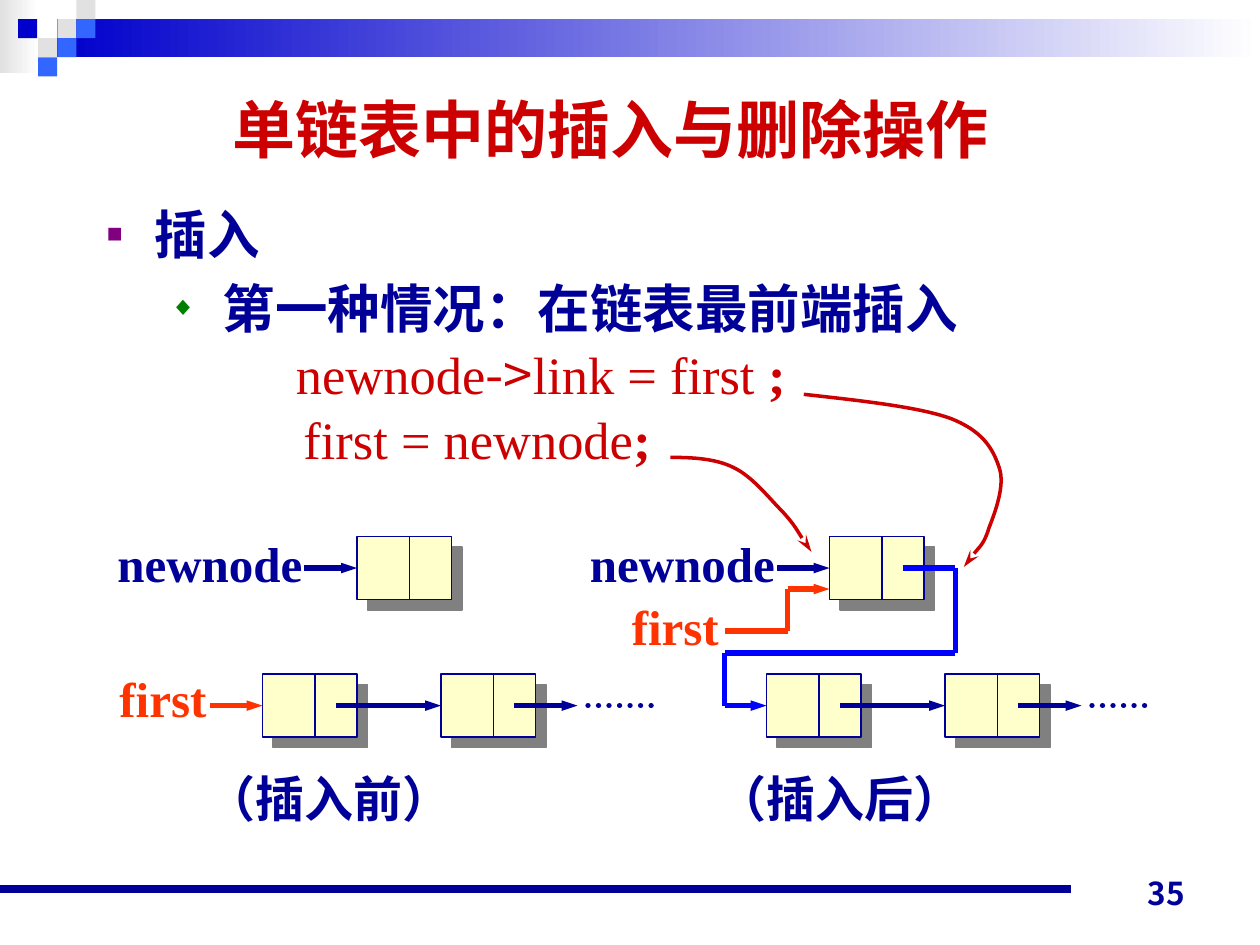
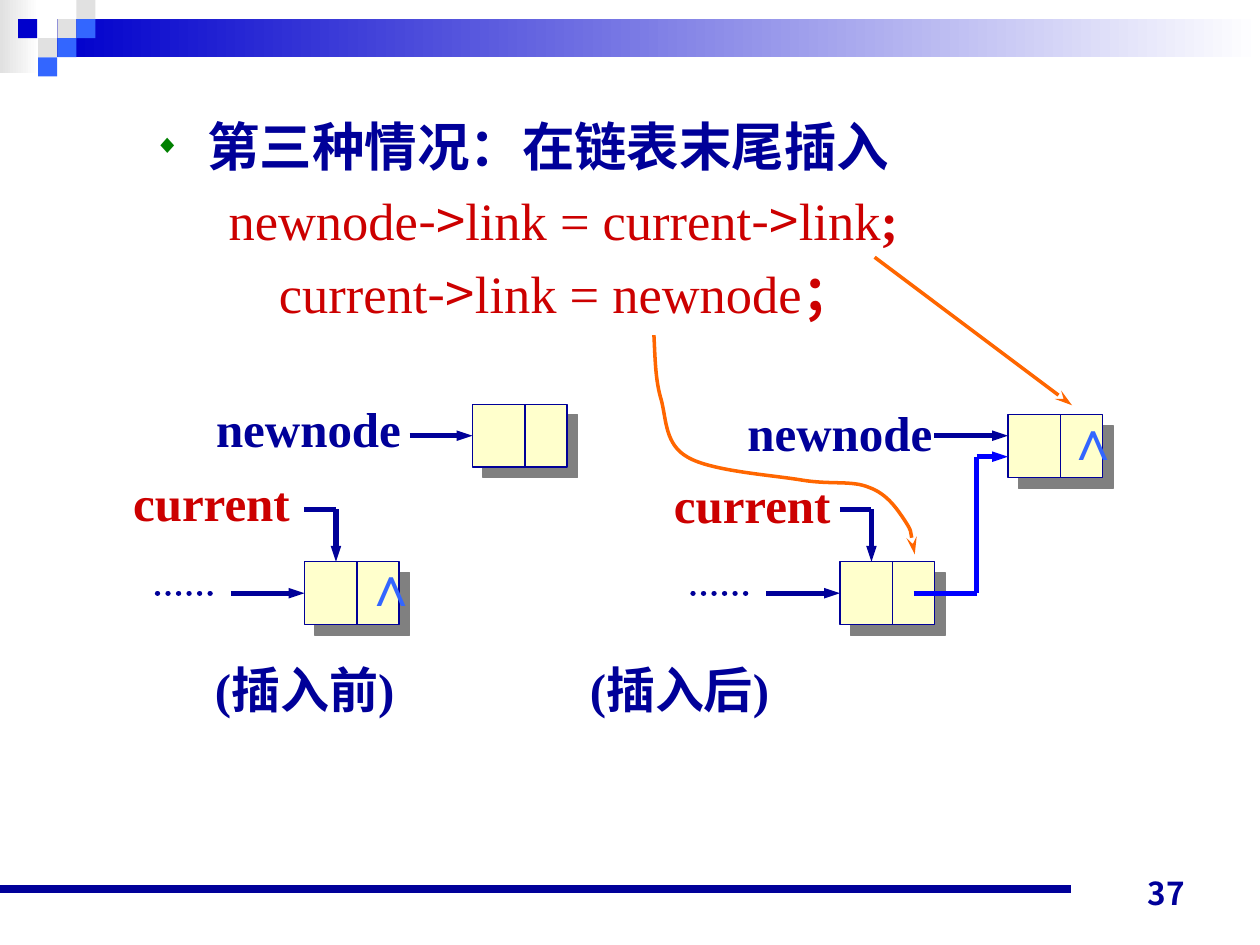
from itertools import pairwise

from lxml import etree
from pptx import Presentation
from pptx.dml.color import RGBColor
from pptx.enum.dml import MSO_LINE
from pptx.enum.shapes import MSO_CONNECTOR, MSO_SHAPE
from pptx.enum.text import MSO_ANCHOR, PP_ALIGN
from pptx.oxml.ns import qn
from pptx.util import Inches, Pt

RECT, STRAIGHT, DOTS = MSO_SHAPE.RECTANGLE, MSO_CONNECTOR.STRAIGHT, MSO_LINE.ROUND_DOT
TOP, MIDDLE, BOTTOM = MSO_ANCHOR.TOP, MSO_ANCHOR.MIDDLE, MSO_ANCHOR.BOTTOM
CENTER, RIGHT = PP_ALIGN.CENTER, PP_ALIGN.RIGHT
rgb = RGBColor.from_string

NAVY, BLUE, LINK_BLUE, SKY = "000099", "0000CC", "0000FF", "3366FF"
RED, FIRST_RED, ORANGE = "CC0000", "FF3300", "FF6600"
GREY, WHITE, CREAM, SHADOW = "E1E1E1", "FFFFFF", "FFFFCC", "808080"
SERIF, SANS, CJK = "Times New Roman", "Arial", "Noto Sans CJK SC"

# The slide is a grid of 120 columns by 90 rows.
COLS, ROWS = 120, 90
CELL = Inches(10) // COLS
NODE_W, NODE_H, DIVIDER = 9, 6, 5

HEADING = dict(size=Pt(30), name=SANS, bold=True, color=NAVY)
CODE = dict(size=Pt(30), name=SERIF, color=RED)
ARROW = {**CODE, "name": CJK}
CODE_END = {**CODE, "bold": True}
LABEL = dict(size=Pt(28), name=SERIF, bold=True)
NIL = dict(size=Pt(32), name=SERIF, bold=True, color=SKY)
PAGE = dict(size=Pt(18), name="Noto Sans CJK JP", bold=True, color=NAVY)
TITLE = dict(size=Pt(36), name=SANS, bold=True, color=RED)

LINE = dict(line_spacing=Pt(36))
SPACED = dict(**LINE, space_before=Pt(6))
TIGHT = dict(**LINE, space_before=Pt(1.5))
SQUARE = dict(bullet=("■", "800080"), margin=0.38, hang=0.38)
DIAMOND = dict(bullet=("◆", "008000"), margin=0.92, hang=0.42)


def write(slide, box, paragraphs, anchor=TOP):
    """Put (format, runs) paragraphs in a text box given in grid cells."""
    frame = slide.shapes.add_textbox(*(round(v * CELL) for v in box)).text_frame
    frame.word_wrap = True
    frame.vertical_anchor = anchor
    for number, (layout, runs) in enumerate(paragraphs):
        paragraph = frame.paragraphs[0] if number == 0 else frame.add_paragraph()
        layout = dict(layout)
        props = paragraph._p.get_or_add_pPr()
        props.set("marL", str(Inches(layout.pop("margin", 0))))
        props.set("indent", str(-Inches(layout.pop("hang", 0))))
        if "bullet" in layout:
            sign, color = layout.pop("bullet")
            tint = etree.SubElement(props, qn("a:buClr"))
            etree.SubElement(tint, qn("a:srgbClr"), val=color)
            etree.SubElement(props, qn("a:buSzPct"), val="50000")
            etree.SubElement(props, qn("a:buFont"), typeface=SANS)
            etree.SubElement(props, qn("a:buChar"), char=sign)
        for key, value in layout.items():
            setattr(paragraph, key, value)
        for text, look in runs:
            run = paragraph.add_run()
            run.text = text
            for key, value in look.items():
                if key == "color":
                    run.font.color.rgb = rgb(value)
                else:
                    setattr(run.font, key, value)
            etree.SubElement(run._r.get_or_add_rPr(), qn("a:ea"), typeface=CJK)


def style_line(shape, color, width, head=None, dotted=False):
    """Colour a connector or curve; head is (type, width, length)."""
    shape.line.color.rgb = rgb(color)
    shape.line.width = Pt(width)
    props = shape._element.spPr
    stroke = props.find(qn("a:ln"))
    if dotted:
        shape.line.dash_style = DOTS
        stroke.set("cap", "rnd")
    if head:
        etree.SubElement(stroke, qn("a:tailEnd"), type=head[0], w=head[1], len=head[2])
    if props.find(qn("a:effectLst")) is None:
        etree.SubElement(props, qn("a:effectLst"))


TRIANGLE = ("triangle", "sm", "med")
STEALTH = ("stealth", "med", "lg")

# Left edges of the lists before and after insertion, and of the new nodes.
LISTS, LIST_Y = (25, 73), 64.2
NEW_NODES, NEW_Y = (34, 79), 51.1
LIST_MID, NEW_MID = LIST_Y + 3, NEW_Y + 3
TAIL_Y, TAIL_MID = 53.5, 56.5

front_insert = dict(
    page="35",
    title="单链表中的插入与删除操作",
    body=((9, 18.7, 106, 31), [
        ({**LINE, **SQUARE}, [("插入", HEADING)]),
        ({**SPACED, **DIAMOND}, [("第一种情况：在链表最前端插入", HEADING)]),
        ({**TIGHT, "margin": 1.5},
         [("newnode", CODE), ("->", ARROW), ("link = first ", CODE), (";", CODE_END)]),
        ({**TIGHT, "margin": 1.56}, [("first = newnode", CODE), (";", CODE_END)]),
    ]),
    captions=[("（插入前）", 18.5, 72.6), ("（插入后）", 67.2, 72.6)],
    nodes=[(x + step, LIST_Y) for x in LISTS for step in (0, 17)]
          + [(x, NEW_Y) for x in NEW_NODES],
    arrows=[(NAVY, [(x + start, LIST_MID), (x + end, LIST_MID)])
            for x in LISTS for start, end in ((7, 17), (24, 30))]
           + [(NAVY, [(x - 5, NEW_MID), (x, NEW_MID)]) for x in NEW_NODES]
           + [(FIRST_RED, [(20, LIST_MID), (25, LIST_MID)]),
              (FIRST_RED, [(69, 60.1), (75, 60.1), (75, 56.1), (79, 56.1)]),
              (LINK_BLUE, [(86, NEW_MID), (91, NEW_MID), (91, 62.2), (69, 62.2),
                           (69, LIST_MID), (73, LIST_MID)])],
    dots=[(56, 63, LIST_MID), (104, 110, LIST_MID)],
    labels=[("newnode", NAVY, 10, 50.2), ("newnode", NAVY, 55, 50.2),
            ("first", FIRST_RED, 10.2, 63.1), ("first", FIRST_RED, 59, 56.2)],
    nils=[],
    curves=[
        (RED, [(6.38, 3.13), (6.83, 3.18), (7.29, 3.23), (7.54, 3.32),
               (7.8, 3.42), (7.88, 3.56), (7.93, 3.71),
               (7.98, 3.85), (7.9, 4.06), (7.85, 4.19),
               (7.81, 4.32), (7.68, 4.45), (7.65, 4.5)]),
        (RED, [(5.32, 3.63), (5.5, 3.63), (5.68, 3.64), (5.82, 3.71),
               (5.97, 3.78), (6.1, 3.95), (6.21, 4.06),
               (6.31, 4.17), (6.4, 4.33), (6.44, 4.38)]),
    ],
    pointers=[],
)

tail_insert = dict(
    page="37",
    title=None,
    body=((7.5, 10.3, 105, 54), [
        ({**LINE, **DIAMOND}, [("第三种情况：在链表末尾插入", HEADING)]),
        ({**SPACED, "margin": 1.09},
         [("newnode", CODE), ("->", ARROW), ("link = current", CODE),
          ("->", ARROW), ("link", CODE), (";", CODE_END)]),
        ({**SPACED, "margin": 1.49},
         [("current", CODE), ("->", ARROW), ("link = newnode", CODE), ("；", CODE_END)]),
    ]),
    captions=[("(插入前)", 19.3, 62.2), ("(插入后)", 55, 62.2)],
    nodes=[(29, TAIL_Y), (45, 38.5), (80, TAIL_Y), (96, 39.5)],
    arrows=[(NAVY, [(39, 41.5), (45, 41.5)]),
            (NAVY, [(89, 41.5), (96, 41.5)]),
            (LINK_BLUE, [(87, TAIL_MID), (93, TAIL_MID), (93, 43.5), (96, 43.5)])]
           + [(NAVY, [(x - 7, TAIL_MID), (x, TAIL_MID)]) for x in (29, 80)]
           + [(NAVY, [(x, 48.5), (x + 3, 48.5), (x + 3, TAIL_Y)]) for x in (29, 80)],
    dots=[(x - 14, x - 8, TAIL_MID) for x in (29, 80)],
    labels=[("newnode", NAVY, 19.4, 37.4), ("newnode", NAVY, 70, 37.7),
            ("current", RED, 11.5, 44.4), ("current", RED, 63, 44.6)],
    nils=[(100.3, 37.9), (33.4, 51.8)],
    curves=[
        (ORANGE, [(5.19, 2.66), (5.2, 2.84), (5.2, 3.02), (5.25, 3.18),
                  (5.29, 3.34), (5.28, 3.53), (5.46, 3.63),
                  (5.65, 3.74), (6.12, 3.77), (6.36, 3.81),
                  (6.6, 3.85), (6.76, 3.81), (6.9, 3.87),
                  (7.04, 3.92), (7.12, 4.04), (7.18, 4.13),
                  (7.24, 4.22), (7.25, 4.35), (7.26, 4.4)]),
    ],
    pointers=[(ORANGE, [(83.3, 24.5), (102.1, 38.6)])],
)

# Header: fading bands first, then the mosaic of small squares.
BANDS = [(0, 0, 3.7, 7, GREY), (5.4, 1.8, 114.6, 3.6, BLUE)]
TILE = 1.82
MOSAIC = [(3, 1, GREY), (4, 0, GREY), (4, 1, SKY), (2, 2, GREY),
          (0.95, 1, BLUE), (3, 2, SKY), (2, 3, SKY)]

deck = Presentation()
deck.slide_width, deck.slide_height = COLS * CELL, ROWS * CELL

for content in (front_insert, tail_insert):
    slide = deck.slides.add_slide(deck.slide_layouts[6])
    shapes = slide.shapes

    for *box, color in BANDS:
        band = shapes.add_shape(RECT, *(round(v * CELL) for v in box))
        band.shadow.inherit = False
        band.line.fill.background()
        band.fill.gradient()
        band.fill.gradient_angle = 0
        for stop, shade in zip(band.fill.gradient_stops, (color, WHITE)):
            stop.color.rgb = rgb(shade)
    for column, row, color in MOSAIC:
        side = round(TILE * CELL)
        tile = shapes.add_shape(RECT, round(column * side), row * side, side, side)
        tile.shadow.inherit = False
        tile.line.fill.background()
        tile.fill.solid()
        tile.fill.fore_color.rgb = rgb(color)

    write(slide, (86, 81.4, 28, 6), [(dict(alignment=RIGHT), [(content["page"], PAGE)])], BOTTOM)
    if content["title"]:
        write(slide, (12.8, 6.4, 90.6, 11.7),
              [(dict(alignment=CENTER), [(content["title"], TITLE)])], MIDDLE)
    write(slide, *content["body"])
    for text, x, y in content["captions"]:
        write(slide, (x, y, 30, 7), [({}, [(text, {**LABEL, "color": NAVY})])])

    for x, y in content["nodes"]:
        node = shapes.add_shape(RECT, *(round(v * CELL) for v in (x, y, NODE_W, NODE_H)))
        node.fill.solid()
        node.fill.fore_color.rgb = rgb(CREAM)
        node.line.color.rgb = rgb(NAVY)
        node.line.width = Pt(0.75)
        node.shadow.inherit = False
        effects = node._element.spPr.find(qn("a:effectLst"))
        shade = etree.SubElement(effects, qn("a:outerShdw"), dist=str(Pt(8.5)),
                                 dir="2700000", algn="ctr", rotWithShape="0")
        etree.SubElement(shade, qn("a:srgbClr"), val=SHADOW)

    # Each route is (colour, points, width, head, dotted).
    routes = [(NAVY, [(0, 84.7), (102, 84.7)], 4.5, None, False)]
    routes += [(NAVY, [(x + DIVIDER, y), (x + DIVIDER, y + NODE_H)], 0.75, None, False)
               for x, y in content["nodes"]]
    routes += [(color, points, 3, TRIANGLE, False) for color, points in content["arrows"]]
    routes += [(NAVY, [(x1, y), (x2, y)], 3, None, True) for x1, x2, y in content["dots"]]
    routes += [(color, points, 2, STEALTH, False) for color, points in content["pointers"]]
    for color, points, width, head, dotted in routes:
        for start, end in pairwise(points):
            ends = (round(v * CELL) for v in (*start, *end))
            stretch = shapes.add_connector(STRAIGHT, *ends)
            style_line(stretch, color, width, head if end == points[-1] else None, dotted)

    for text, color, x, y in content["labels"]:
        write(slide, (x, y, 24, 7), [({}, [(text, {**LABEL, "color": color})])])
    for x, y in content["nils"]:
        write(slide, (x, y, 9, 7.6), [({}, [("∧", NIL)])])

    for color, points in content["curves"]:
        start, *controls = [(Inches(x), Inches(y)) for x, y in points]
        outline = shapes.build_freeform(*start)
        outline.add_line_segments(controls, close=False)
        curve = outline.convert_to_shape()
        curve.fill.background()
        curve.shadow.inherit = False
        style_line(curve, color, 2, STEALTH)
        # Every three straight segments become one cubic curve.
        steps = list(curve._element.iter(qn("a:lnTo")))
        for first in range(0, len(steps), 3):
            trio = steps[first:first + 3]
            cubic = etree.SubElement(trio[0].getparent(), qn("a:cubicBezTo"))
            for step in trio:
                cubic.append(step[0])
                step.getparent().remove(step)

deck.save("out.pptx")
